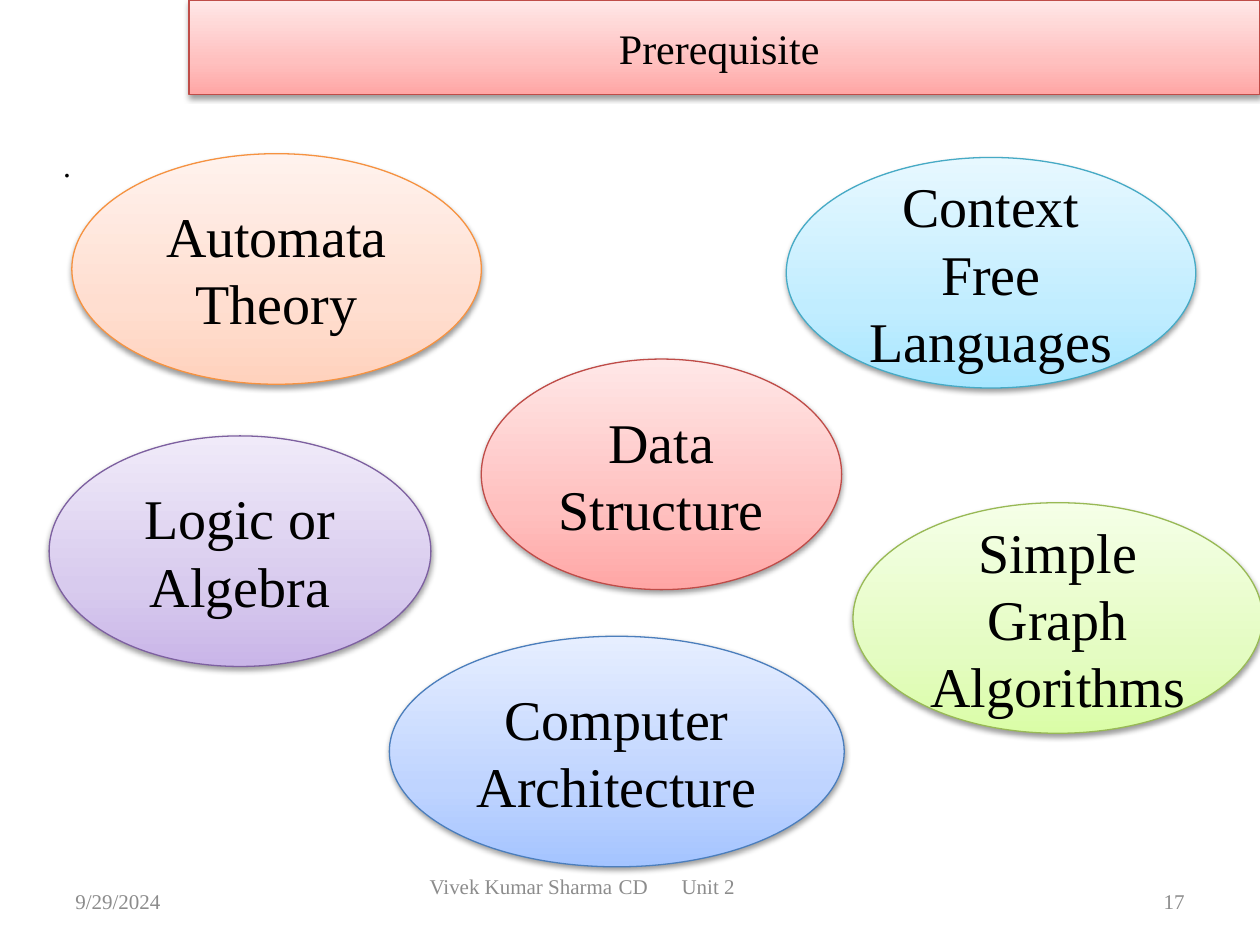
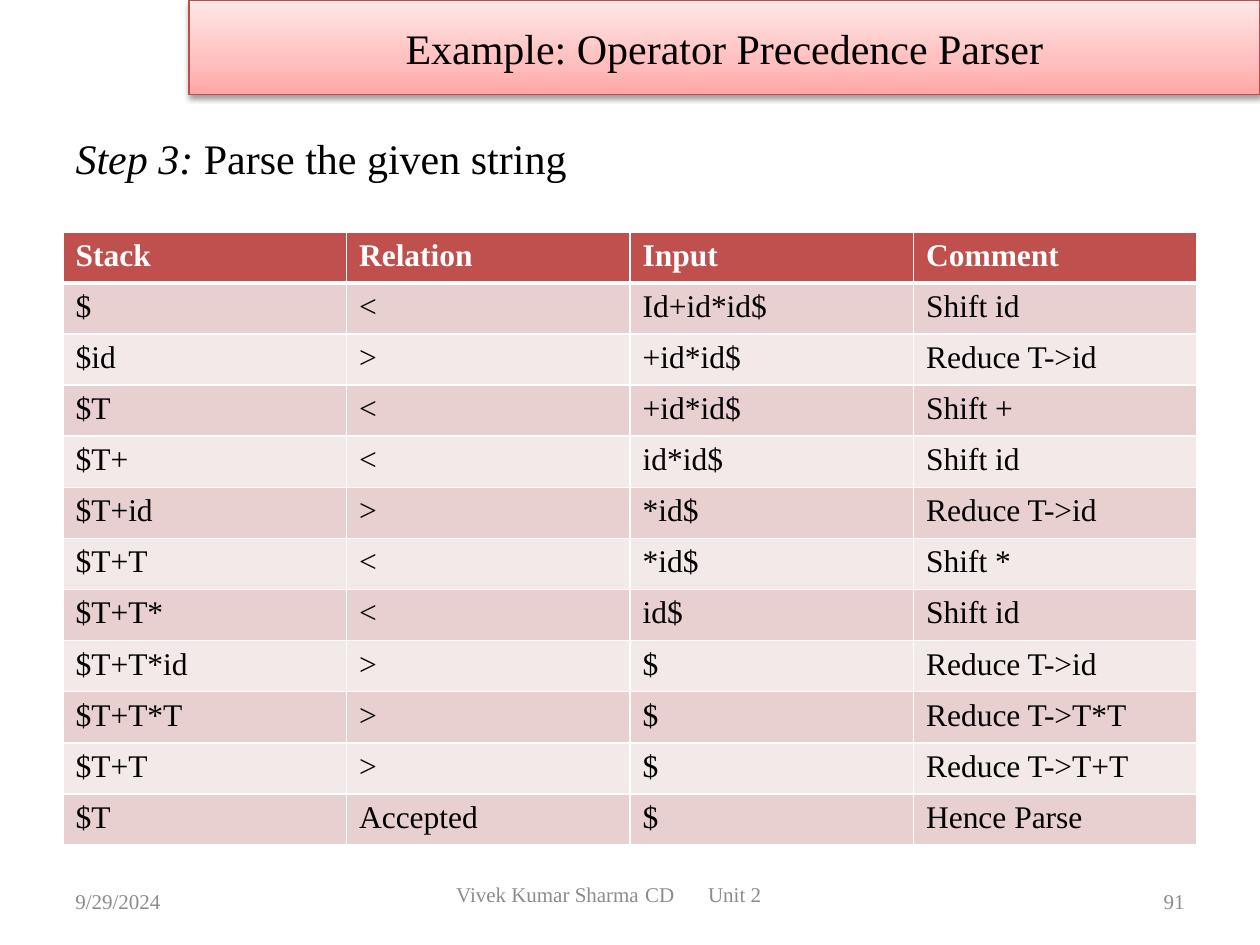
from copy import deepcopy

from lxml import etree
from pptx import Presentation
from pptx.dml.color import RGBColor
from pptx.enum.shapes import MSO_SHAPE
from pptx.enum.text import MSO_ANCHOR, MSO_AUTO_SIZE, PP_ALIGN
from pptx.oxml.ns import qn
from pptx.util import Inches, Pt

ELLIPSE = MSO_SHAPE.OVAL
LEFT, CENTER, RIGHT = PP_ALIGN.LEFT, PP_ALIGN.CENTER, PP_ALIGN.RIGHT
TOP, MIDDLE = MSO_ANCHOR.TOP, MSO_ANCHOR.MIDDLE
NO_FIT = MSO_AUTO_SIZE.NONE

FONT = "Times New Roman"
BLACK = RGBColor(0x00, 0x00, 0x00)
WHITE = RGBColor(0xFF, 0xFF, 0xFF)
GRAY = RGBColor(0x8C, 0x8C, 0x8C)
HEADER_RED = RGBColor(0xC0, 0x50, 0x4D)
BAND_DARK = RGBColor(0xE8, 0xD0, 0xD0)
BAND_LIGHT = RGBColor(0xF4, 0xE9, 0xE9)


def palette(line, *stops):
    return [RGBColor.from_string(code) for code in (line, *stops)]


RED = palette("BF4C48", "FFA6A5", "FFC0BF", "FFE7E7")
ORANGE = palette("F69240", "FFD2BD", "FFDED0", "FFF2ED")
AQUA = palette("46AAC5", "A7E6FF", "C1EDFF", "E7F8FF")
BLUE = palette("4B7EBC", "A4C4FF", "BFD4FF", "E6EEFF")
GREEN = palette("98B955", "DAFDA7", "E4FCC2", "F5FFE7")
PURPLE = palette("7D60A0", "C9B5E8", "D8CBEE", "F0EAF9")
STOP_POSITIONS = (0, 0.35, 1)

COLUMNS, ROWS = 100, 75
SLIDE_WIDTH, SLIDE_HEIGHT = Inches(10), Inches(7.5)
CELL_WIDTH, CELL_HEIGHT = SLIDE_WIDTH // COLUMNS, SLIDE_HEIGHT // ROWS

DATE = "9/29/2024"
FOOTER = "Vivek Kumar Sharma\tCD\tUnit 2"
FOOTER_TABS = (23.7, 32.6)
FOOTER_LENGTH = 36.8

TOPICS = [
    ("Automata Theory", ORANGE, 5.7, 12.2, 32.5),
    ("Context Free Languages", AQUA, 62.4, 12.5, 32.5),
    ("Computer Architecture", BLUE, 30.9, 50.5, 36.1),
    ("Data Structure", RED, 38.2, 28.5, 28.6),
    ("Simple Graph Algorithms", GREEN, 67.7, 39.9, 32.5),
    ("Logic or Algebra", PURPLE, 3.9, 34.6, 30.3),
]
TOPIC_HEIGHT = 18.3

PARSE_STEPS = [
    ("Stack", "Relation", "Input", "Comment"),
    ("$", "<", "Id+id*id$", "Shift id"),
    ("$id", ">", "+id*id$", "Reduce T->id"),
    ("$T", "<", "+id*id$", "Shift +"),
    ("$T+", "<", "id*id$", "Shift id"),
    ("$T+id", ">", "*id$", "Reduce T->id"),
    ("$T+T", "<", "*id$", "Shift *"),
    ("$T+T*", "<", "id$", "Shift id"),
    ("$T+T*id", ">", "$", "Reduce T->id"),
    ("$T+T*T", ">", "$", "Reduce T->T*T"),
    ("$T+T", ">", "$", "Reduce T->T+T"),
    ("$T", "Accepted", "$", "Hence Parse"),
]


def box(left, top, width, height):
    return (round(left * CELL_WIDTH), round(top * CELL_HEIGHT),
            round(width * CELL_WIDTH), round(height * CELL_HEIGHT))


def write(frame, text, size=18, color=BLACK, bold=False, align=LEFT,
          anchor=TOP, italic_lead="", tabs=()):
    frame.word_wrap = True
    frame.vertical_anchor = anchor
    paragraph = frame.paragraphs[0]
    paragraph.alignment = align
    paragraph.space_before = Pt(0)
    properties = paragraph._p.get_or_add_pPr()
    properties.set("marL", "0")
    properties.set("indent", "0")
    etree.SubElement(properties, qn("a:buNone"))
    if tabs:
        tab_list = etree.SubElement(properties, qn("a:tabLst"))
        for stop in tabs:
            etree.SubElement(tab_list, qn("a:tab"), algn="l",
                             pos=str(round(stop * CELL_WIDTH)))
    for content, italic in ((italic_lead, True), (text, False)):
        if content:
            run = paragraph.add_run()
            run.text = content
            font = run.font
            font.name, font.size, font.bold, font.italic = FONT, Pt(size), bold, italic
            font.color.rgb = color


def draw_border(cell, side, points):
    line = etree.SubElement(cell._tc.get_or_add_tcPr(), qn(f"a:ln{side}"),
                            w=str(Pt(points)))
    fill = etree.SubElement(line, qn("a:solidFill"))
    etree.SubElement(fill, qn("a:srgbClr"), val=str(WHITE))


class Deck:
    def __init__(self):
        self.presentation = Presentation()
        self.presentation.slide_width = SLIDE_WIDTH
        self.presentation.slide_height = SLIDE_HEIGHT
        self.slide = None

    def start_slide(self, title, number, footer_area):
        layout = self.presentation.slide_layouts[1]
        self.slide = self.presentation.slides.add_slide(layout)
        banner = self.slide.shapes.title
        self.place(banner, 15, 0, 85, 7.5)
        self.style(banner, RED)
        write(banner.text_frame, title, size=24, align=CENTER, anchor=MIDDLE)
        self.label(DATE, 5, 69.5, 23.3, 4)
        self.label(str(number), 71.7, 69.5, 23.3, 4, align=RIGHT)
        self.footer(*footer_area)

    def place(self, placeholder, *area):
        (placeholder.left, placeholder.top,
         placeholder.width, placeholder.height) = box(*area)
        placeholder.text_frame.auto_size = NO_FIT

    def style(self, shape, colors):
        outline, *stop_colors = colors
        shape.line.color.rgb = outline
        shape.line.width = Pt(0.75)
        shape.fill.gradient()
        shape.fill.gradient_angle = 90
        properties = shape._element.spPr
        stop_list = properties.find(".//" + qn("a:gsLst"))
        stop_list.append(deepcopy(stop_list[-1]))
        for stop, position, color in zip(shape.fill.gradient_stops,
                                         STOP_POSITIONS, stop_colors):
            stop.position = position
            stop.color.rgb = color
        shape.shadow.inherit = False
        shadow = etree.SubElement(properties.find(qn("a:effectLst")),
                                  qn("a:outerShdw"), blurRad="40000",
                                  dist="20000", dir="5400000", rotWithShape="0")
        shade = etree.SubElement(shadow, qn("a:srgbClr"), val=str(BLACK))
        etree.SubElement(shade, qn("a:alpha"), val="38000")

    def label(self, text, *area, **text_format):
        frame = self.slide.shapes.add_textbox(*box(*area)).text_frame
        write(frame, text, size=12, color=GRAY, anchor=MIDDLE, **text_format)
        return frame

    def footer(self, left, top, width, height):
        frame = self.label(FOOTER, left, top, width, height, tabs=FOOTER_TABS)
        frame.margin_left = round((width - FOOTER_LENGTH) / 2 * CELL_WIDTH)
        frame.margin_right = 0

    def body(self, text, *area, **text_format):
        content = self.slide.placeholders[1]
        self.place(content, *area)
        write(content.text_frame, text, **text_format)

    def ellipse(self, text, colors, *area):
        shape = self.slide.shapes.add_shape(ELLIPSE, *box(*area))
        self.style(shape, colors)
        write(shape.text_frame, text, size=32, align=CENTER, anchor=MIDDLE)

    def table(self, rows, *area):
        left, top, width, height = box(*area)
        table = self.slide.shapes.add_table(len(rows), len(rows[0]), left, top,
                                            width, height).table
        for row in table.rows:
            row.height = height // len(rows)
        for row_index, values in enumerate(rows):
            is_header = row_index == 0
            band = BAND_DARK if row_index % 2 else BAND_LIGHT
            for column_index, value in enumerate(values):
                cell = table.cell(row_index, column_index)
                draw_border(cell, "L", 1)
                draw_border(cell, "R", 1)
                draw_border(cell, "T", 3 if row_index == 1 else 1)
                draw_border(cell, "B", 3 if is_header else 1)
                cell.fill.solid()
                cell.fill.fore_color.rgb = HEADER_RED if is_header else band
                write(cell.text_frame, value, bold=is_header,
                      color=WHITE if is_header else BLACK)


def main():
    deck = Deck()

    deck.start_slide("Prerequisite ", 17, (25, 68.3, 55, 4))
    deck.body(".", 4, 11.1, 90.9, 50)
    for topic, colors, left, top, width in TOPICS:
        deck.ellipse(topic, colors, left, top, width, TOPIC_HEIGHT)

    deck.start_slide("Example: Operator Precedence Parser", 91,
                     (34.2, 69.5, 40.8, 3))
    deck.body("Parse the given string", 5, 10, 90, 57, size=24,
              italic_lead="Step 3: ")
    deck.table(PARSE_STEPS, 5, 18.4, 90, 48.7)

    deck.presentation.save("out.pptx")


if __name__ == "__main__":
    main()
